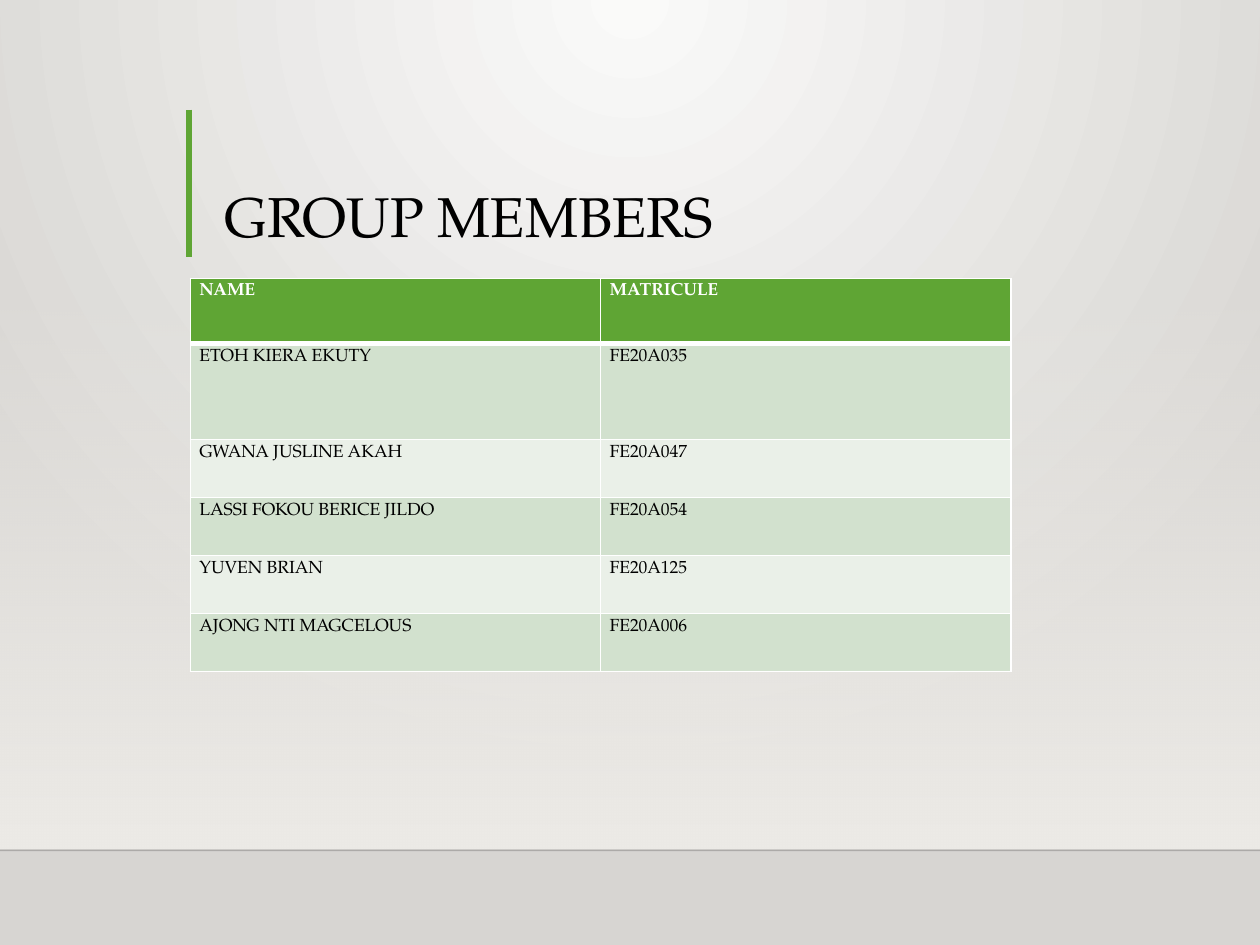
from lxml import etree
from pptx import Presentation
from pptx.dml.color import RGBColor
from pptx.enum import shapes, text
from pptx.oxml import parse_xml
from pptx.oxml.ns import nsdecls, qn
from pptx.util import Cm, Pt

FONT = "TeX Gyre Pagella"
GREEN, WHITE, BLACK = "5FA534", "FFFFFF", "000000"
BANDS = ["D2E1CE", "EAF0E8"]
MEMBERS = [
    ("NAME", "MATRICULE"),
    ("ETOH KIERA EKUTY", "FE20A035"),
    ("GWANA JUSLINE AKAH", "FE20A047"),
    ("LASSI FOKOU BERICE JILDO", "FE20A054"),
    ("YUVEN BRIAN", "FE20A125"),
    ("AJONG NTI MAGCELOUS", "FE20A006"),
]
ROW_HEIGHTS = [1.32, 1.93] + [1.17] * 4


def rgb(value):
    return RGBColor.from_string(value)


def add_run(p, words, size, color, bold=False):
    r = p.add_run()
    r.text = words
    r.font.name, r.font.size, r.font.bold = FONT, Pt(size), bold
    r.font.color.rgb = rgb(color)


def set_gradient(fill, owner, stops, direction):
    """Replace the fill of owner by a gradient; stops are (position, colour, opacity)."""
    fill.solid()
    solid = next(owner.iter(qn("a:solidFill")))
    marks = "".join(
        f'<a:gs pos="{pos * 1000}"><a:srgbClr val="{color}">'
        f'<a:alpha val="{opacity * 1000}"/></a:srgbClr></a:gs>'
        for pos, color, opacity in stops)
    grad = parse_xml(f'<a:gradFill {nsdecls("a")} rotWithShape="1">'
                     f'<a:gsLst>{marks}</a:gsLst>{direction}</a:gradFill>')
    solid.getparent().replace(solid, grad)


def add_line(s, x1, y1, x2, y2, color, width, opacity=100):
    line = s.shapes.add_connector(shapes.MSO_CONNECTOR.STRAIGHT,
                                  Cm(x1), Cm(y1), Cm(x2), Cm(y2))
    line.line.color.rgb = rgb(color)
    line.line.width = Pt(width)
    if opacity < 100:
        clr = next(line._element.spPr.iter(qn("a:srgbClr")))
        etree.SubElement(clr, qn("a:alpha")).set("val", str(opacity * 1000))
    etree.SubElement(line._element.spPr, qn("a:effectLst"))


def add_backdrop(s):
    set_gradient(s.background.fill, s._element.cSld,
                 [(0, "FAFAF9", 100), (100, "D7D5D2", 100)],
                 '<a:path path="circle"><a:fillToRect l="43000" t="0" r="43000" b="100000"/></a:path>')
    wall = s.shapes.add_shape(shapes.MSO_SHAPE.RECTANGLE, 0, Cm(5.59), Cm(25.4), Cm(11.54))
    wall.shadow.inherit = False
    wall.line.fill.background()
    set_gradient(wall.fill, wall._element.spPr,
                 [(0, "EDEBE7", 0), (100, "EDEBE7", 100)],
                 '<a:lin ang="5400000" scaled="0"/>')


def add_title(s, words):
    sp = s.shapes.title
    sp.left, sp.top, sp.width, sp.height = Cm(4.27), Cm(2.24), Cm(18.01), Cm(2.92)
    tf = sp.text_frame
    tf.word_wrap = True
    tf.auto_size = text.MSO_AUTO_SIZE.NONE
    tf.vertical_anchor = text.MSO_ANCHOR.BOTTOM
    p = tf.paragraphs[0]
    p.alignment = text.PP_ALIGN.LEFT
    p.line_spacing = 0.9
    add_run(p, words, 32, BLACK)


def set_borders(cell, widths):
    tcPr = cell._tc.get_or_add_tcPr()
    for i, (side, width) in enumerate(widths.items()):
        tcPr.insert(i, parse_xml(
            f'<a:ln{side} {nsdecls("a")} w="{Pt(width)}"><a:solidFill>'
            f'<a:srgbClr val="{WHITE}"/></a:solidFill></a:ln{side}>'))


def add_table(s, rows):
    table = s.shapes.add_table(len(rows), 2, Cm(3.84), Cm(5.61),
                               Cm(16.54), Cm(sum(ROW_HEIGHTS))).table
    for col in table.columns:
        col.width = Cm(8.27)
    for i, (row, height) in enumerate(zip(rows, ROW_HEIGHTS)):
        table.rows[i].height = Cm(height)
        header = i == 0
        for j, words in enumerate(row):
            cell = table.cell(i, j)
            cell.margin_left = cell.margin_right = Cm(0.18)
            cell.margin_top = cell.margin_bottom = Cm(0.1)
            cell.fill.solid()
            cell.fill.fore_color.rgb = rgb(GREEN if header else BANDS[(i - 1) % 2])
            set_borders(cell, {"L": 1, "R": 1, "T": 3 if i == 1 else 1,
                               "B": 3 if header else 1})
            add_run(cell.text_frame.paragraphs[0], words, 10,
                    WHITE if header else BLACK, header)


def main():
    prs = Presentation()
    prs.slide_width, prs.slide_height = Cm(25.4), Cm(19.05)
    s = prs.slides.add_slide(prs.slide_layouts[5])
    # Wall, floor edge and title accent
    add_backdrop(s)
    add_line(s, 0, 17.14, 25.4, 17.14, "000001", 1, opacity=20)
    add_line(s, 3.81, 2.21, 3.81, 5.18, GREEN, 3)
    # Content
    add_title(s, "GROUP MEMBERS")
    add_table(s, MEMBERS)
    prs.save("out.pptx")


main()
